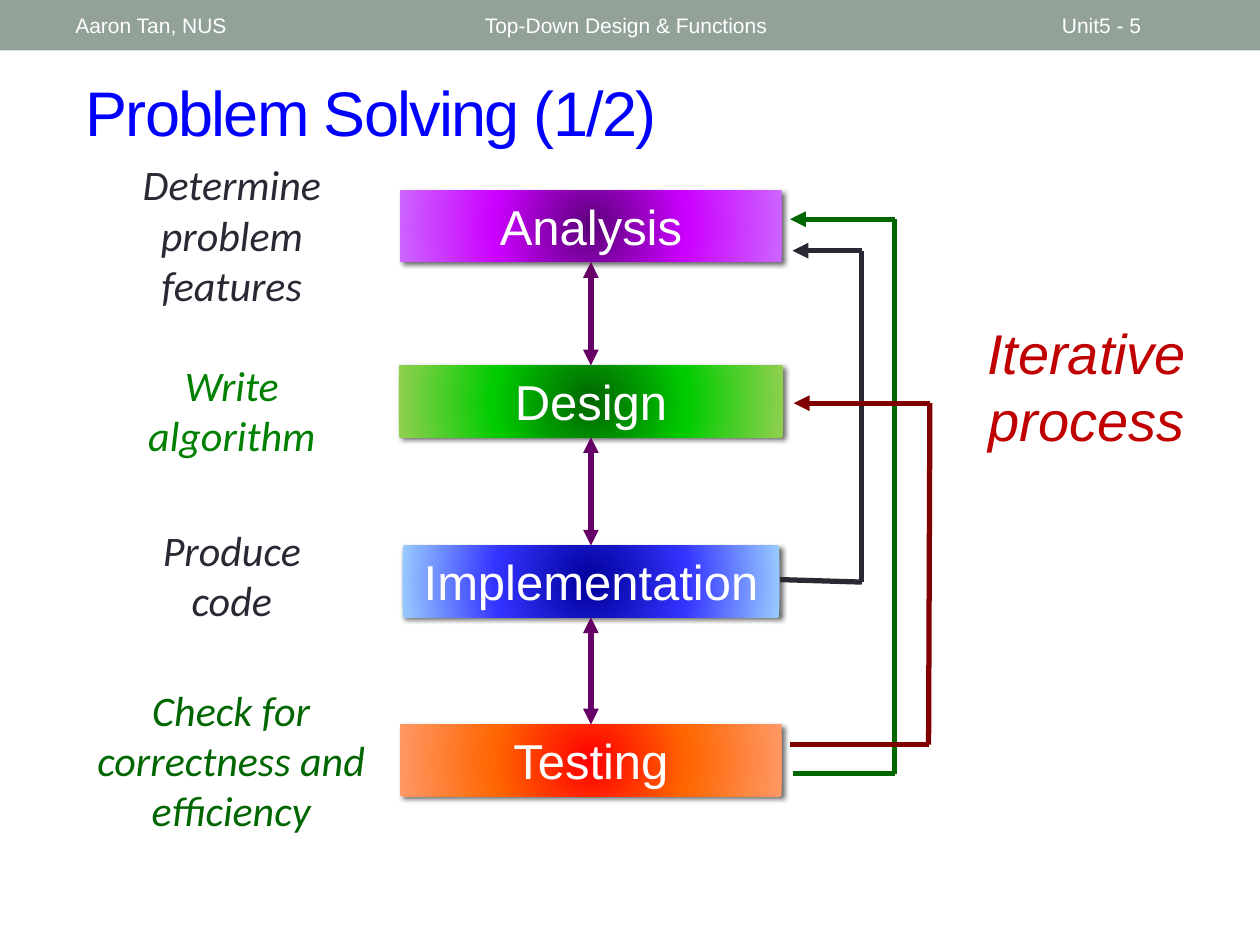
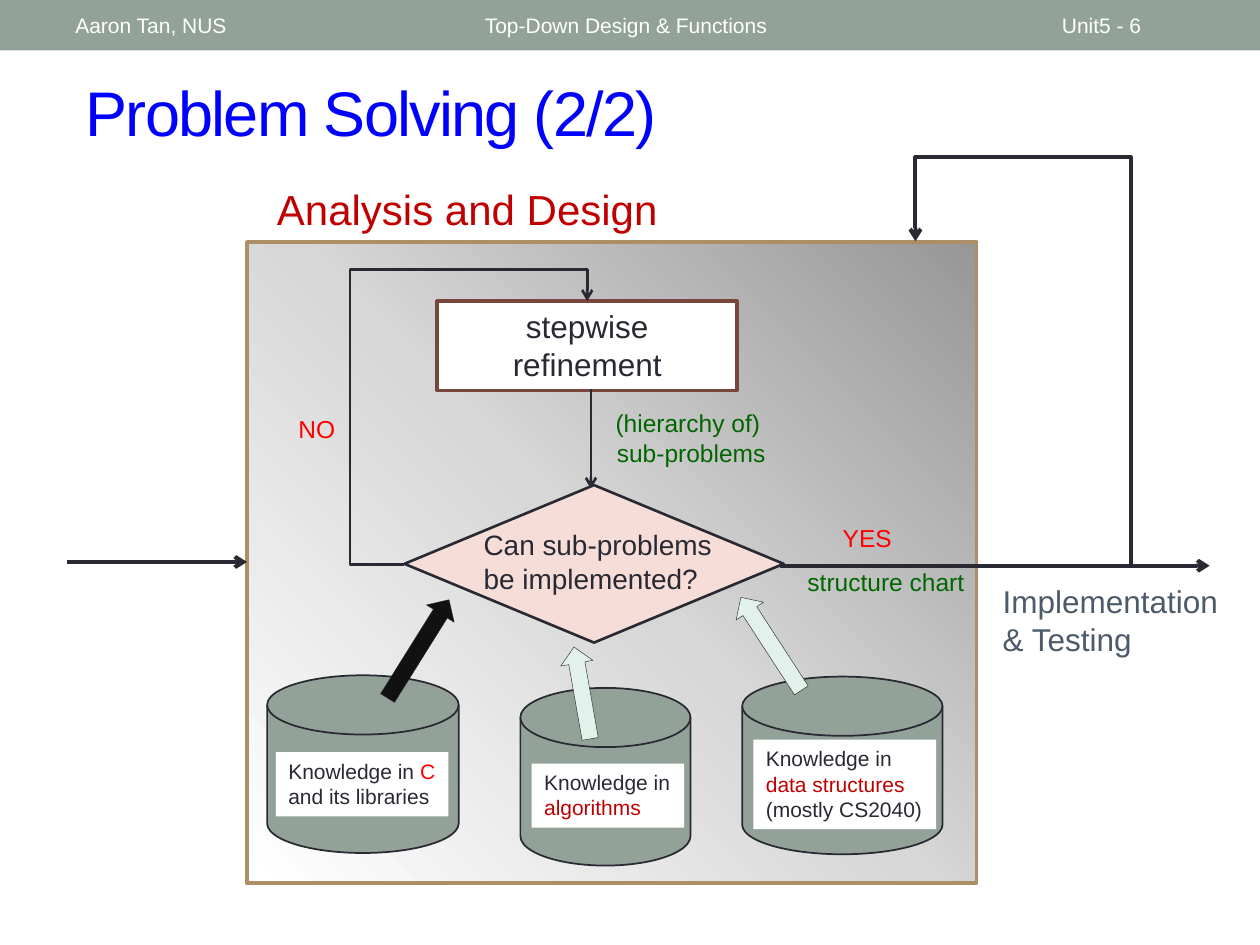
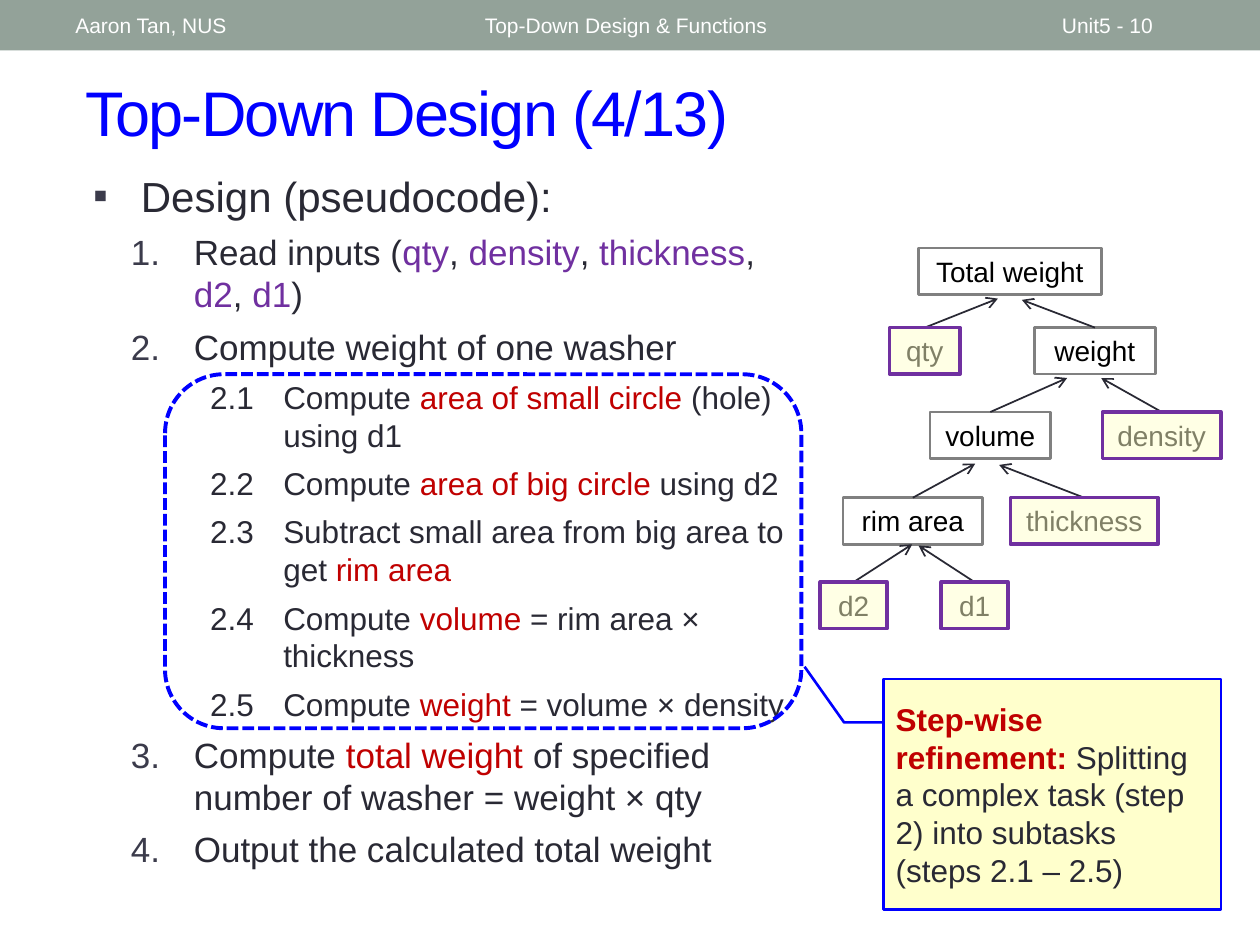
from dataclasses import dataclass
from itertools import pairwise

from lxml import etree
from pptx import Presentation
from pptx.dml.color import RGBColor
from pptx.enum.dml import MSO_LINE
from pptx.enum.shapes import MSO_CONNECTOR, MSO_SHAPE
from pptx.enum.text import MSO_ANCHOR, MSO_AUTO_SIZE, PP_ALIGN
from pptx.oxml import parse_xml
from pptx.oxml.ns import nsdecls, qn
from pptx.util import Inches, Pt


@dataclass(frozen=True)
class Theme:
    font: str = "Arial"
    label_font: str = "Calibri"
    # Colours
    ink: str = "292934"
    band: str = "93A299"
    white: str = "FFFFFF"
    black: str = "000000"
    blue: str = "0000FF"
    crimson: str = "C00000"
    red: str = "FF0000"
    maroon: str = "800000"
    green: str = "006600"
    leaf: str = "008000"
    plum: str = "660066"
    purple: str = "7030A0"
    cream: str = "FFFFCC"
    slate: str = "4C5A6A"
    bullet: str = "3B3B4B"
    grey: str = "808080"
    tan: str = "AD8F67"
    brown: str = "79463D"
    blush: str = "F6DDD8"
    coal: str = "111111"
    mint: str = "E2F1E9"
    # Type sizes
    title: int = 36
    callout: int = 32
    stage: int = 28
    heading: int = 24
    step: int = 20
    body: int = 18
    node: int = 16
    note: int = 14
    small: int = 12


THEME = Theme()


class Deck:
    def __init__(self, theme):
        self.theme = theme
        self.presentation = Presentation()
        self.presentation.slide_width = Inches(10)
        self.presentation.slide_height = Inches(7.5)
        self.slide = None

    def new_slide(self, title, number):
        """Start a slide with its title and the header band."""
        theme = self.theme
        layout = self.presentation.slide_layouts[5]
        self.slide = self.presentation.slides.add_slide(layout)
        placeholder = self.slide.shapes.title
        placeholder.left, placeholder.top = Inches(0.58), Inches(0.42)
        placeholder.width, placeholder.height = Inches(9.17), Inches(0.92)
        self.set_text(placeholder, [title], theme.title, theme.blue,
                      anchor=MSO_ANCHOR.MIDDLE, grow=False)
        for run in placeholder.text_frame.paragraphs[0].runs:
            run._r.get_or_add_rPr().set("spc", "-100")
        self.shape(MSO_SHAPE.RECTANGLE, (0, 0, 10, 0.4), theme.band)
        header = [(3.75, 4.5, "Top-Down Design & Functions"),
                  (8.33, 1.17, f"Unit5 - {number}"),
                  (0.5, 3.17, "Aaron Tan, NUS")]
        for left, width, text in header:
            self.text((left, 0.02, width, 0.36), [text], theme.small, theme.white,
                      anchor=MSO_ANCHOR.MIDDLE, grow=False)

    def set_text(self, shape, lines, size, colour, font=None, align=PP_ALIGN.LEFT,
                 anchor=MSO_ANCHOR.TOP, italic=False, wrap=True, grow=True):
        """A line is a string, or a list of strings and (text, colour[, bold])."""
        frame = shape.text_frame
        frame.word_wrap = wrap
        frame.vertical_anchor = anchor
        frame.auto_size = MSO_AUTO_SIZE.SHAPE_TO_FIT_TEXT if grow else MSO_AUTO_SIZE.NONE
        for index, line in enumerate(lines):
            paragraph = frame.add_paragraph() if index else frame.paragraphs[0]
            paragraph.alignment = align
            paragraph.font.name = font or self.theme.font
            paragraph.font.size = Pt(size)
            paragraph.font.italic = italic
            paragraph.font.color.rgb = RGBColor.from_string(colour)
            self.add_runs(paragraph, [line] if isinstance(line, str) else line)

    def add_runs(self, paragraph, pieces):
        for piece in pieces:
            run = paragraph.add_run()
            if isinstance(piece, str):
                run.text = piece
                continue
            run.text = piece[0]
            run.font.color.rgb = RGBColor.from_string(piece[1])
            if len(piece) > 2:
                run.font.bold = piece[2]

    def text(self, frame, lines, size, colour, **options):
        box = self.slide.shapes.add_textbox(*map(Inches, frame))
        self.set_text(box, lines, size, colour, **options)
        return box

    def shape(self, preset, frame, fill=None, line=None, weight=1.0, rotation=0):
        shape = self.slide.shapes.add_shape(preset, *map(Inches, frame))
        shape.shadow.inherit = False
        shape.rotation = rotation
        if fill:
            shape.fill.solid()
            shape.fill.fore_color.rgb = RGBColor.from_string(fill)
        else:
            shape.fill.background()
        if line:
            shape.line.color.rgb = RGBColor.from_string(line)
            shape.line.width = Pt(weight)
        else:
            shape.line.fill.background()
        return shape

    def radial_fill(self, shape, colours, focus):
        """Fill with three colours spreading from a focus (l, t, r, b in %)."""
        stops = "".join(
            f'<a:gs pos="{index * 50000}"><a:srgbClr val="{colour}"/></a:gs>'
            for index, colour in enumerate(colours))
        edges = " ".join(f'{side}="{value * 1000}"' for side, value in zip("ltrb", focus))
        gradient = parse_xml(
            f'<a:gradFill {nsdecls("a")} rotWithShape="1"><a:gsLst>{stops}</a:gsLst>'
            f'<a:path path="circle"><a:fillToRect {edges}/></a:path></a:gradFill>')
        properties = shape.element.spPr
        properties.replace(properties.find(qn("a:noFill")), gradient)

    def drop_shadow(self, shape):
        effects = shape.element.spPr.find(qn("a:effectLst"))
        effects.append(parse_xml(
            f'<a:outerShdw {nsdecls("a")} blurRad="38100" dist="25400" dir="2700000">'
            '<a:srgbClr val="000000"><a:alpha val="60000"/></a:srgbClr></a:outerShdw>'))

    def set_alpha(self, shape, percent):
        colour = shape.element.spPr.find(qn("a:solidFill"))[0]
        etree.SubElement(colour, qn("a:alpha")).set("val", str(percent * 1000))

    def line(self, start, end, colour, weight, head=None, tail=None, kind=MSO_CONNECTOR.STRAIGHT):
        connector = self.slide.shapes.add_connector(kind, *map(Inches, (*start, *end)))
        connector.line.color.rgb = RGBColor.from_string(colour)
        connector.line.width = Pt(weight)
        outline = connector.line._get_or_add_ln()
        for tag, arrow in (("a:headEnd", head), ("a:tailEnd", tail)):
            if arrow:
                etree.SubElement(outline, qn(tag)).set("type", arrow)
        etree.SubElement(connector.element.spPr, qn("a:effectLst"))
        return connector

    def route(self, points, colour, weight, tail):
        """Straight legs through the points, with an arrowhead on the last."""
        for start, end in pairwise(points):
            self.line(start, end, colour, weight, tail=tail if end == points[-1] else None)

    def elbow(self, frame, rotation, flip, preset, adjustments, weight):
        left, top, width, height = frame
        connector = self.line((left, top), (left + width, top + height), self.theme.ink,
                              weight, tail="arrow", kind=MSO_CONNECTOR.ELBOW)
        transform = connector.element.spPr.find(qn("a:xfrm"))
        transform.set("rot", str(rotation * 60000))
        transform.set(flip, "1")
        geometry = connector.element.spPr.find(qn("a:prstGeom"))
        geometry.set("prst", preset)
        guides = geometry.find(qn("a:avLst"))
        for index, value in enumerate(adjustments, 1):
            guide = etree.SubElement(guides, qn("a:gd"))
            guide.set("name", f"adj{index}")
            guide.set("fmla", f"val {round(value * 100000)}")

    def outline(self, frame, items):
        """Bulleted, numbered and tabbed paragraphs, by level."""
        theme = self.theme
        # level: size, left margin, indent, bullet
        styles = [
            (theme.heading, 0.38, -0.38, ("a:buChar", "char", "▪")),
            (theme.step, 0.8, -0.5, ("a:buAutoNum", "type", "arabicPeriod")),
            (theme.body, 1.51, -0.58, None)]
        box = self.text(frame, [pieces for _, pieces in items], theme.body, theme.ink, grow=False)
        for paragraph, (level, _) in zip(box.text_frame.paragraphs, items):
            size, margin, indent, bullet = styles[level]
            paragraph.level = level
            paragraph.font.size = Pt(size)
            paragraph.space_before = Pt(6)
            properties = paragraph._p.get_or_add_pPr()
            properties.set("marL", str(Inches(margin)))
            properties.set("indent", str(Inches(indent)))
            if bullet:
                tag, key, value = bullet
                marks = [f'<a:buClr {nsdecls("a")}><a:srgbClr val="{theme.bullet}"/></a:buClr>',
                         f'<a:buFont {nsdecls("a")} typeface="{theme.font}"/>',
                         f'<{tag} {nsdecls("a")} {key}="{value}"/>']
            else:
                marks = [f'<a:buNone {nsdecls("a")}/>']
            defaults = properties.find(qn("a:defRPr"))
            for mark in marks:
                defaults.addprevious(parse_xml(mark))

    def node(self, label, frame, tip, is_input):
        """A tree box with an arrow to its parent; inputs get a tinted cover."""
        theme = self.theme
        left, top, width, _ = frame
        box = self.shape(MSO_SHAPE.RECTANGLE, frame, theme.white, theme.grey, 1.5)
        self.set_text(box, [label], theme.node, theme.black, align=PP_ALIGN.CENTER)
        if tip:
            self.line((left + width / 2, top), tip, theme.ink, 1, tail="arrow")
        if is_input:
            cover = self.shape(MSO_SHAPE.RECTANGLE, frame, theme.cream, theme.purple, 2.08)
            self.set_alpha(cover, 50)


def build_process(deck):
    theme = deck.theme
    deck.new_slide("Problem Solving (1/2)", 5)

    # Stages
    centre, height = 4.69, 0.57
    stages = [
        ("Analysis", 1.51, 3.03, ("5B0079", "CC00FF", "CC66FF")),
        ("Design", 2.9, 3.05, ("006600", "00CC00", "92D050")),
        ("Implementation", 4.33, 2.99, ("000099", "3333FF", "99CCFF")),
        ("Testing", 5.75, 3.03, ("FF0000", "FF6600", "FF9966"))]
    for name, top, width, colours in stages:
        box = deck.shape(MSO_SHAPE.RECTANGLE, (centre - width / 2, top, width, height))
        deck.radial_fill(box, colours, (50, 50, 50, 50))
        deck.drop_shadow(box)
        deck.set_text(box, [name], theme.stage, theme.white, align=PP_ALIGN.CENTER)
    for upper, lower in pairwise(stages):
        deck.line((centre, upper[1] + height), (centre, lower[1]), theme.plum, 3,
                  head="triangle", tail="triangle")

    # Feedback routes
    routes = [
        (theme.ink, [(6.19, 4.6), (6.84, 4.62), (6.84, 1.99), (6.29, 1.99)]),
        (theme.green, [(6.29, 6.14), (7.1, 6.14), (7.1, 1.74), (6.27, 1.74)]),
        (theme.maroon, [(6.27, 5.91), (7.37, 5.91), (7.38, 3.2), (6.3, 3.2)])]
    for colour, points in routes:
        deck.route(points, colour, 3, "triangle")

    # Descriptions
    deck.text((7.5, 2.48, 2.25, 1.18), ["Iterative process"], theme.callout, theme.crimson,
              align=PP_ALIGN.CENTER, italic=True)
    descriptions = [
        ("Determine problem features", (0.63, 1.21, 2.42, 1.31), theme.ink),
        ("Write algorithm", (0.67, 2.8, 2.34, 0.91), theme.leaf),
        ("Produce code", (0.91, 4.11, 1.86, 0.91), theme.ink),
        ("Check for correctness and efficiency", (0.45, 5.38, 2.77, 1.31), theme.green)]
    for text, frame, colour in descriptions:
        deck.text(frame, [text], theme.heading, colour, font=theme.label_font,
                  align=PP_ALIGN.CENTER, italic=True)


def build_refinement(deck):
    theme = deck.theme
    deck.new_slide("Problem Solving (2/2)", 6)

    # Panel and main flow
    panel = deck.shape(MSO_SHAPE.RECTANGLE, (1.96, 1.92, 5.79, 5.09), line=theme.tan, weight=2.08)
    deck.radial_fill(panel, ("979797", "D7D7D7", "FFFFFF"), (100, 0, 0, 100))
    deck.line((0.53, 4.46), (1.96, 4.46), theme.ink, 2.25, tail="arrow")
    step = deck.shape(MSO_SHAPE.RECTANGLE, (3.47, 2.39, 2.38, 0.71), theme.white, theme.brown, 2.08)
    deck.set_text(step, ["stepwise", "refinement"], theme.body, theme.ink, align=PP_ALIGN.CENTER)
    deck.line((4.69, 3.09), (4.69, 3.88), theme.ink, 1.5, tail="arrow")
    deck.shape(MSO_SHAPE.DIAMOND, (3.21, 3.85, 3.01, 1.25), theme.blush, theme.ink, 1.5)
    deck.elbow((3.21, 2.39, 1.45, 2.09), 180, "flipH", "bentConnector4", (-0.298, 1.12), 1.5)

    # Knowledge stores: drum, label frame, label
    stores = [
        ((2.12, 5.36, 1.52, 1.41), (2.19, 5.97, 1.37, 0.51),
         [["Knowledge in ", ("C", theme.red)], "and its libraries"]),
        ((4.13, 5.46, 1.35, 1.41), (4.22, 6.06, 1.21, 0.51),
         ["Knowledge in", [("algorithms", theme.crimson)]]),
        ((5.89, 5.37, 1.59, 1.41), (5.98, 5.87, 1.45, 0.71),
         ["Knowledge in", [("data structures", theme.crimson)], "(mostly CS2040)"])]
    for drum, frame, lines in stores:
        deck.shape(MSO_SHAPE.FLOWCHART_MAGNETIC_DISK, drum, theme.band, theme.ink)
        label = deck.shape(MSO_SHAPE.RECTANGLE, frame, theme.white)
        deck.set_text(label, lines, theme.small, theme.ink)

    # Block arrows from the stores: centre, length, rotation, fill
    arrows = [(3.32, 5.15, 0.92, 302, theme.coal),
              (6.12, 5.11, 0.88, 237, theme.mint),
              (4.62, 5.5, 0.74, 260, theme.mint)]
    thickness = 0.26
    for x, y, length, rotation, fill in arrows:
        deck.shape(MSO_SHAPE.RIGHT_ARROW, (x - length / 2, y - thickness / 2, length, thickness),
                   fill, theme.ink, 0.25, rotation)

    # Labels
    deck.text((4.73, 3.19, 1.46, 0.57), ["(hierarchy of)", " sub-problems"], theme.note,
              theme.green, align=PP_ALIGN.CENTER, wrap=False)
    labels = [
        ((3.74, 4.14, 2.1, 0.64), ["Can sub-problems", "be implemented?"], theme.node, theme.ink),
        ((2.27, 3.24, 0.5, 0.34), ["NO"], theme.note, theme.red),
        ((6.59, 4.1, 0.6, 0.34), ["YES"], theme.note, theme.red),
        ((7.86, 4.57, 1.93, 0.71), ["Implementation", "& Testing"], theme.body, theme.slate)]
    for frame, lines, size, colour in labels:
        deck.text(frame, lines, size, colour, wrap=False)
    deck.text((6.31, 4.45, 1.55, 0.34), ["structure chart"], theme.note, theme.green)
    deck.text((2.1, 1.41, 3.64, 0.5), ["Analysis and Design"], theme.heading, theme.crimson)

    # Way out and return
    deck.elbow((6.83, 2.35, 2.58, 1.71), 270, "flipV", "bentConnector3", (1.258,), 2.25)
    deck.line((6.19, 4.49), (9.6, 4.49), theme.ink, 2.25, tail="arrow")


def build_pseudocode(deck):
    theme = deck.theme
    deck.new_slide("Top-Down Design (4/13)", 10)

    # Pseudocode
    def key(text):
        return text, theme.crimson

    def variable(text):
        return text, theme.purple

    deck.outline((0.64, 1.3, 5.87, 5.92), [
        (0, ["Design (pseudocode):"]),
        (1, ["Read inputs (", variable("qty"), ", ", variable("density"), ",",
             variable(" thickness"), ", ", variable("d2"), ", ", variable("d1"), ")"]),
        (1, ["Compute weight of one washer"]),
        (2, ["2.1\tCompute ", key("area of small circle "), "(hole) using d1"]),
        (2, ["2.2\tCompute ", key("area of big circle"), " using d2"]),
        (2, ["2.3\tSubtract small area from big area to get ", key("rim area")]),
        (2, ["2.4\tCompute ", key("volume"), " = rim area × thickness"]),
        (2, ["2.5\tCompute ", key("weight"), " = volume × density"]),
        (1, ["Compute ", key("total weight "), "of specified number of washer = weight × qty"]),
        (1, ["Output the calculated total weight"])])

    # Structure tree: label, left, top, width, arrow tip, input
    nodes = [
        ("Total weight", 7.29, 1.97, 1.45, None, False),
        ("qty", 7.06, 2.6, 0.56, (7.92, 2.37), True),
        ("weight", 8.21, 2.6, 0.96, (8.11, 2.38), False),
        ("volume", 7.38, 3.27, 0.96, (8.47, 3), False),
        ("density", 8.75, 3.27, 0.94, (8.74, 3), True),
        ("rim area", 6.69, 3.95, 1.11, (7.74, 3.68), False),
        ("thickness", 8.02, 3.95, 1.17, (7.93, 3.69), True),
        ("d2", 6.51, 4.62, 0.53, (7.24, 4.32), True),
        ("d1", 7.47, 4.62, 0.53, (7.29, 4.33), True)]
    for label, left, top, width, tip, is_input in nodes:
        deck.node(label, (left, top, width, 0.37), tip, is_input)

    # Highlighted subtasks and their callout
    ring = deck.shape(MSO_SHAPE.ROUNDED_RECTANGLE, (1.31, 2.97, 5.05, 2.81),
                      line=theme.blue, weight=2.25)
    ring.line.dash_style = MSO_LINE.SQUARE_DOT
    callout = deck.shape(MSO_SHAPE.LINE_CALLOUT_2, (7.01, 5.39, 2.68, 1.83),
                         theme.cream, theme.blue, 1.5)
    for index, value in enumerate((0.188, -0.003, 0.188, -0.116, -0.054, -0.233)):
        callout.adjustments[index] = value
    deck.set_text(callout, [[("Step-wise refinement: ", theme.crimson, True),
                             "Splitting a complex task (step 2) into subtasks (steps 2.1 – 2.5)"]],
                  theme.body, theme.ink, anchor=MSO_ANCHOR.MIDDLE, grow=False)


deck = Deck(THEME)
build_process(deck)
build_refinement(deck)
build_pseudocode(deck)
deck.presentation.save("out.pptx")
